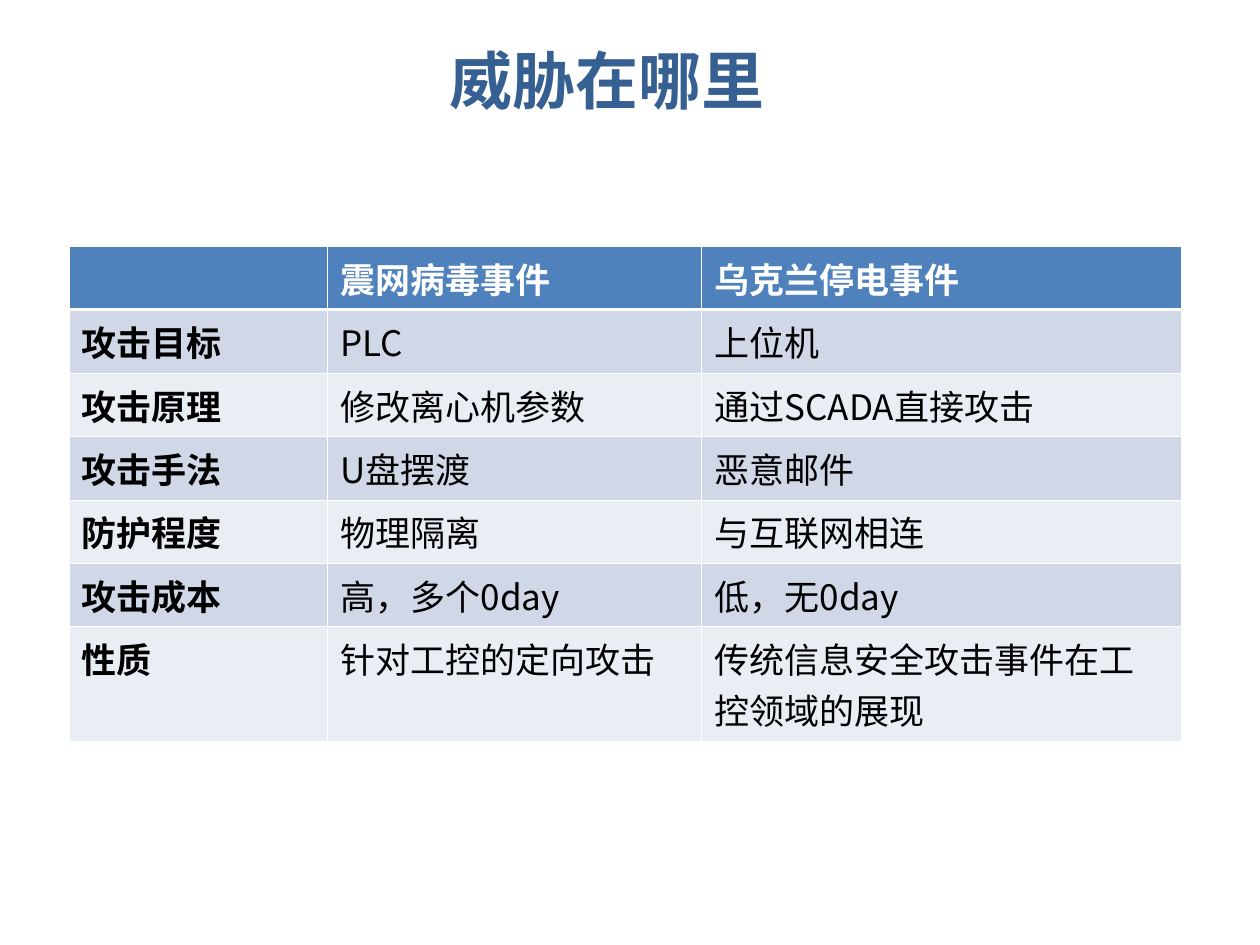
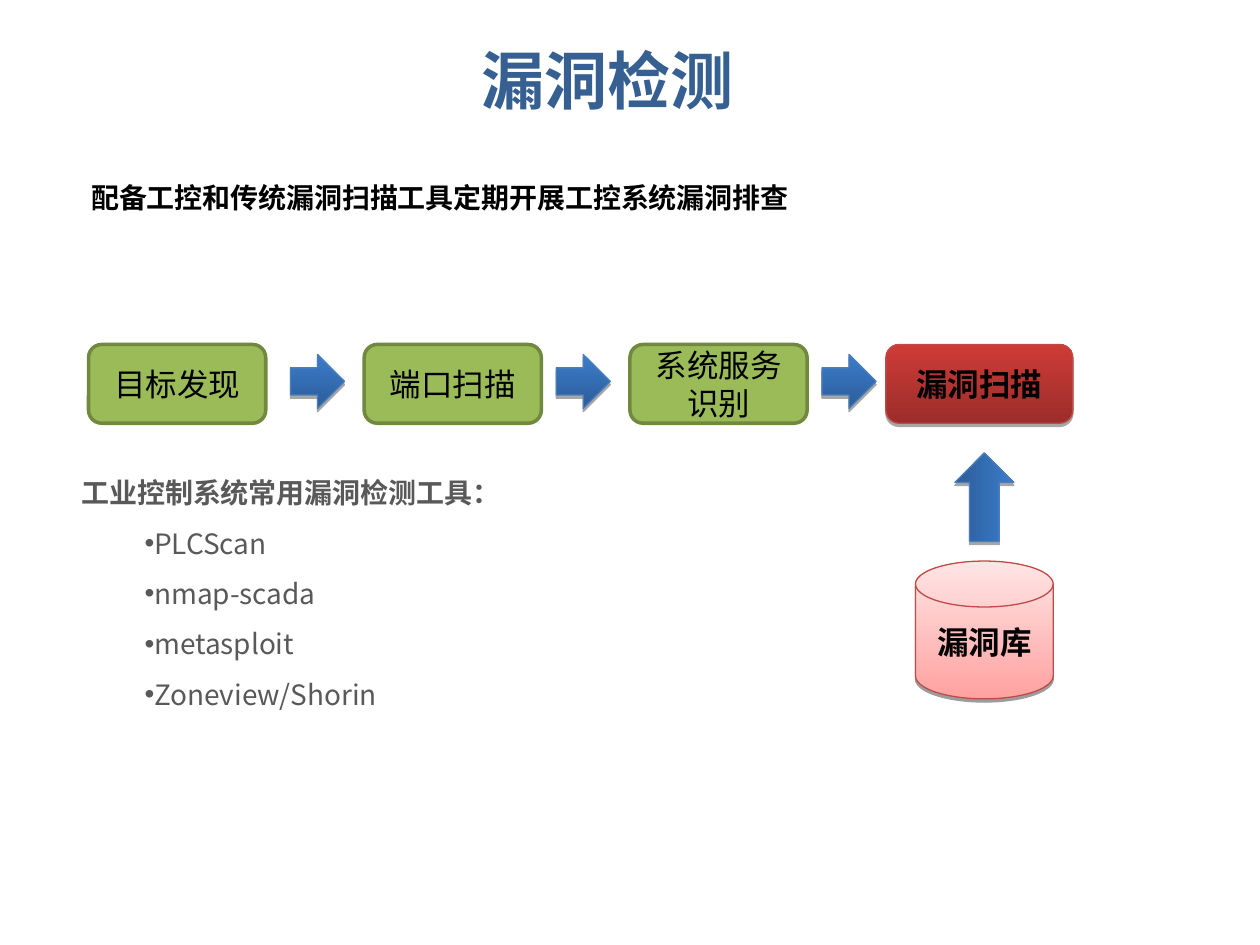
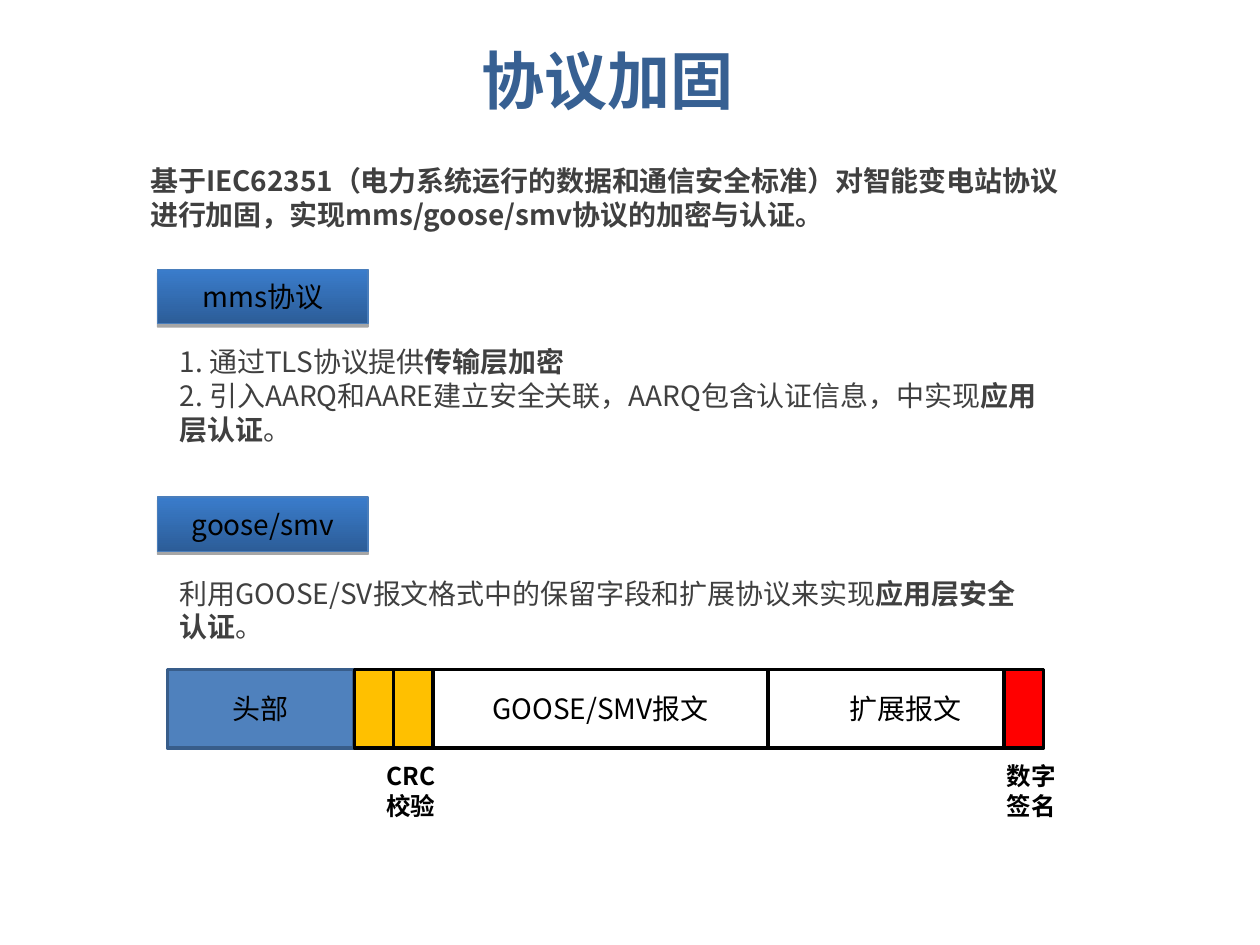
import itertools
from dataclasses import dataclass, replace
from typing import NamedTuple, Optional

import pptx
import pptx.dml.color
import pptx.enum.shapes
import pptx.enum.text
import pptx.oxml
import pptx.oxml.ns
import pptx.util

RGB = pptx.dml.color.RGBColor
Kind = pptx.enum.shapes.MSO_SHAPE
Align = pptx.enum.text.PP_ALIGN
Anchor = pptx.enum.text.MSO_ANCHOR
Fit = pptx.enum.text.MSO_AUTO_SIZE
Pt = pptx.util.Pt
qn = pptx.oxml.ns.qn

FONT = "Noto Sans CJK SC"
WIDTH, HEIGHT = pptx.util.Inches(10), pptx.util.Inches(7.5)
COLS, ROWS = 64, 48

BLACK = RGB(0x00, 0x00, 0x00)
WHITE = RGB(0xFF, 0xFF, 0xFF)
NAVY = RGB(0x37, 0x60, 0x92)
BLUE = RGB(0x4F, 0x81, 0xBD)
EDGE = RGB(0x38, 0x5D, 0x8A)
GREEN = RGB(0x9B, 0xBB, 0x59)
OLIVE = RGB(0x71, 0x89, 0x3F)
GOLD = RGB(0xFF, 0xC0, 0x00)
RED = RGB(0xFF, 0x00, 0x00)
BRICK = RGB(0xBE, 0x4B, 0x48)
SKY = RGB(0x4A, 0x7E, 0xBB)
GREY = RGB(0x59, 0x59, 0x59)
DARK = RGB(0x40, 0x40, 0x40)
BAND = RGB(0xD0, 0xD8, 0xE8)
PALE = RGB(0xE9, 0xED, 0xF4)


class Box(NamedTuple):
    x: float
    y: float
    w: float
    h: float

    def place(self) -> tuple[int, int, int, int]:
        return across(self.x), down(self.y), across(self.w), down(self.h)


@dataclass(frozen=True)
class Type:
    size: float
    color: RGB = BLACK
    bold: bool = False
    align: Align = Align.LEFT
    lead: float = 1.0
    dot: bool = False


@dataclass(frozen=True)
class Look:
    fill: tuple[RGB, ...]
    line: RGB
    width: float = 2
    angle: float = 90
    shade: int = 0


TITLE = Type(36, NAVY, True, Align.CENTER)
STEP = Type(18, align=Align.CENTER)
LABEL = Type(16, align=Align.CENTER)
TEXT = Type(16, DARK)
NOTE = Type(14, bold=True)
HEAD = Type(16, GREY, True, lead=1.5)
ITEM = replace(HEAD, bold=False, dot=True)
CELL = Type(20)

LEAF = Look((GREEN,), OLIVE)
STEEL = Look((RGB(0x2C, 0x5D, 0x98), RGB(0x3A, 0x7C, 0xCB)), SKY, 0.75, shade=35)
RUBY = Look((RGB(0x9B, 0x2D, 0x2A), RGB(0xCE, 0x3B, 0x37)), BRICK, 0.75, shade=35)
ROSE = Look((RGB(0xFF, 0xA2, 0xA1), RGB(0xFF, 0xE5, 0xE5)), BRICK, 0.75, shade=38)

GRID = (
    ("", "震网病毒事件", "乌克兰停电事件"),
    ("攻击目标", "PLC", "上位机"),
    ("攻击原理", "修改离心机参数", "通过SCADA直接攻击"),
    ("攻击手法", "U盘摆渡", "恶意邮件"),
    ("防护程度", "物理隔离", "与互联网相连"),
    ("攻击成本", "高，多个0day", "低，无0day"),
    ("性质", "针对工控的定向攻击", "传统信息安全攻击事件在工控领域的展现"),
)
TOOLS = ("PLCScan", "nmap-scada", "metasploit", "Zoneview/Shorin")


def across(cols: float) -> int:
    return round(WIDTH * cols / COLS)


def down(rows: float) -> int:
    return round(HEIGHT * rows / ROWS)


def node(parent, tag: str, **attrs):
    child = parent.makeelement(qn(tag), attrs)
    parent.append(child)
    return child


def write(par, text: str, kind: Type) -> None:
    props = par._p.get_or_add_pPr()
    props.set("marL", "0")
    props.set("indent", str(pptx.util.Inches(0.5) if kind.dot else 0))
    if kind.dot:
        node(props, "a:buChar", char="•")
    else:
        node(props, "a:buNone")
    par.alignment = kind.align
    par.line_spacing = kind.lead
    par.space_before = Pt(0)
    font = par.font
    font.size, font.bold, font.name = Pt(kind.size), kind.bold, FONT
    font.color.rgb = kind.color
    node(props.find(qn("a:defRPr")), "a:ea", typeface=FONT)
    for i, part in enumerate(text.split("|")):
        if part:
            run = par.add_run()
            run.text = part
            if i % 2:
                run.font.bold = True


def fill(frame, *lines: tuple[str, Type]) -> None:
    frame.word_wrap = True
    for i, (text, kind) in enumerate(lines):
        write(frame.add_paragraph() if i else frame.paragraphs[0], text, kind)


def page(deck, name: str, layout: int):
    slide = deck.slides.add_slide(deck.slide_layouts[layout])
    title = slide.shapes.title
    move(title, Box(8, 1.5, 45.7, 5.1))
    title.text_frame.vertical_anchor = Anchor.MIDDLE
    title.text_frame.auto_size = Fit.NONE
    fill(title.text_frame, (name, TITLE))
    return slide


def move(shape, box: Box) -> None:
    shape.left, shape.top, shape.width, shape.height = box.place()


def body(slide, box: Box, *lines: tuple[str, Type]) -> None:
    shape = slide.placeholders[1]
    move(shape, box)
    shape.text_frame.auto_size = Fit.NONE
    fill(shape.text_frame, *lines)


def note(slide, box: Box, text: str, kind: Type) -> None:
    frame = slide.shapes.add_textbox(*box.place()).text_frame
    frame.auto_size = Fit.SHAPE_TO_FIT_TEXT
    fill(frame, (text, kind))


def draw(slide, form: Kind, box: Box, look: Look, text: str = "",
         kind: Optional[Type] = None):
    shape = slide.shapes.add_shape(form, *box.place())
    shape.shadow.inherit = False
    if len(look.fill) > 1:
        shape.fill.gradient()
        shape.fill.gradient_angle = look.angle
        for stop, color in zip(shape.fill.gradient_stops, look.fill):
            stop.color.rgb = color
    else:
        shape.fill.solid()
        shape.fill.fore_color.rgb = look.fill[0]
    shape.line.color.rgb = look.line
    shape.line.width = Pt(look.width)
    if look.shade:
        effects = shape._element.spPr.find(qn("a:effectLst"))
        shadow = node(effects, "a:outerShdw", blurRad="0", dist=str(Pt(1.8)),
                      dir="5400000", rotWithShape="0")
        color = node(shadow, "a:srgbClr", val=str(BLACK))
        node(color, "a:alpha", val=str(look.shade * 1000))
    if kind:
        shape.text_frame.vertical_anchor = Anchor.MIDDLE
        fill(shape.text_frame, (text, kind))
    return shape


def border(cell, row: int) -> None:
    props = cell._tc.get_or_add_tcPr()
    thick = {"a:lnB": row == 0, "a:lnT": row == 1}
    for i, side in enumerate(("a:lnL", "a:lnR", "a:lnT", "a:lnB")):
        width = Pt(1.47 if thick.get(side) else 0.45)
        line = props.makeelement(qn(side), {"w": str(width)})
        node(node(line, "a:solidFill"), "a:srgbClr", val=str(WHITE))
        props.insert(i, line)


def threat(deck) -> None:
    slide = page(deck, "威胁在哪里", 5)
    box = Box(3.5, 12.5, 56.5, 22.6)
    table = slide.shapes.add_table(len(GRID), len(GRID[0]), *box.place()).table
    for col, width in zip(table.columns, (13.15, 19, 24.35)):
        col.width = across(width)
    for r, words in enumerate(GRID):
        table.rows[r].height = down(5.05 if r == len(GRID) - 1 else 2.93)
        for c, text in enumerate(words):
            cell = table.cell(r, c)
            cell.fill.solid()
            cell.fill.fore_color.rgb = (PALE, BAND)[r % 2] if r else BLUE
            border(cell, r)
            kind = replace(CELL, bold=r == 0 or c == 0, color=BLACK if r else WHITE)
            fill(cell.text_frame, (text, kind))


def detect(deck) -> None:
    slide = page(deck, "漏洞检测", 1)
    for x, text in ((4.5, "目标发现"), (18.5, "端口扫描"), (32, "系统服务识别")):
        draw(slide, Kind.ROUNDED_RECTANGLE, Box(x, 17.5, 9, 4), LEAF, text, STEP)
    strong = replace(STEP, bold=True)
    draw(slide, Kind.ROUNDED_RECTANGLE, Box(45, 17.5, 9.5, 4), RUBY, "漏洞扫描", strong)
    draw(slide, Kind.FLOWCHART_MAGNETIC_DISK, Box(46.5, 28.5, 7, 7), ROSE,
         "漏洞库", strong)
    for i in range(3):
        draw(slide, Kind.RIGHT_ARROW, Box(14.75 + 13.5 * i, 18, 2.75, 2.75), STEEL)
    rise = draw(slide, Kind.RIGHT_ARROW, Box(47.75, 23.75, 4.5, 3),
                replace(STEEL, angle=270))
    rise.rotation = 270
    body(slide, Box(3.5, 23, 26, 13.45), ("工业控制系统常用漏洞检测工具：", HEAD),
         *((tool, ITEM) for tool in TOOLS))
    note(slide, Box(4, 8, 47.5, 3.2),
         "配备工控和传统漏洞扫描工具定期开展工控系统漏洞排查",
         replace(HEAD, color=BLACK))


def harden(deck) -> None:
    slide = page(deck, "协议加固", 1)
    note(slide, Box(7, 8, 47.5, 4.1),
         "基于IEC62351（电力系统运行的数据和通信安全标准）对智能变电站协议进行加固，"
         "实现mms/goose/smv协议的加密与认证。", replace(TEXT, bold=True))
    body(slide, Box(8.5, 17.2, 45, 5.8),
         ("1. 通过TLS协议提供|传输层加密", TEXT),
         ("2. 引入AARQ和AARE建立安全关联，AARQ包含认证信息，中实现|应用层认证|。", TEXT))
    note(slide, Box(8.5, 28.95, 45, 4.1),
         "利用GOOSE/SV报文格式中的保留字段和扩展协议来实现|应用层安全认证|。", TEXT)
    gold, blank = Look((GOLD,), BLACK), Look((WHITE,), BLACK)
    fields = (
        (9.5, Look((BLUE,), EDGE), "头部"),
        (2, gold, ""),
        (2, gold, ""),
        (17, blank, "GOOSE/SMV报文"),
        (14, blank, "扩展报文"),
    )
    ends = list(itertools.accumulate((f[0] for f in fields), initial=8.5))
    for x, (width, look, text) in zip(ends, fields):
        draw(slide, Kind.RECTANGLE, Box(x, 34, width, 4), look, text,
             LABEL if text else None)
    draw(slide, Kind.RECTANGLE, Box(ends[-1] - 2, 34, 2, 4), Look((RED,), BLACK))
    for x, text in ((50.5, "数字签名"), (19, "CRC校验")):
        note(slide, Box(x, 38.35, 4.5, 3.65), text, NOTE)
    for y, text in ((13.7, "mms协议"), (25.25, "goose/smv")):
        draw(slide, Kind.RECTANGLE, Box(8, y, 10.7, 2.75), STEEL, text, LABEL)


def main() -> None:
    deck = pptx.Presentation()
    deck.slide_width, deck.slide_height = WIDTH, HEIGHT
    for make in (threat, detect, harden):
        make(deck)
    deck.save("out.pptx")


if __name__ == "__main__":
    main()
